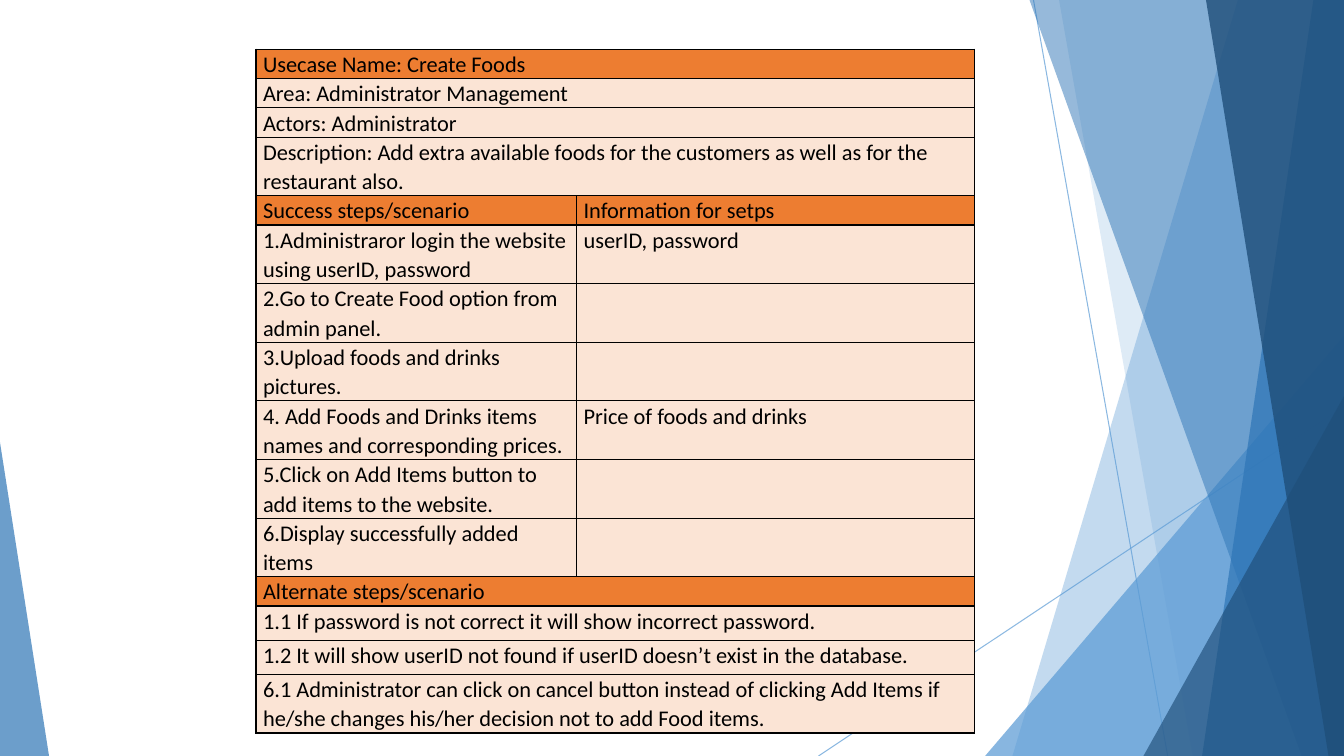
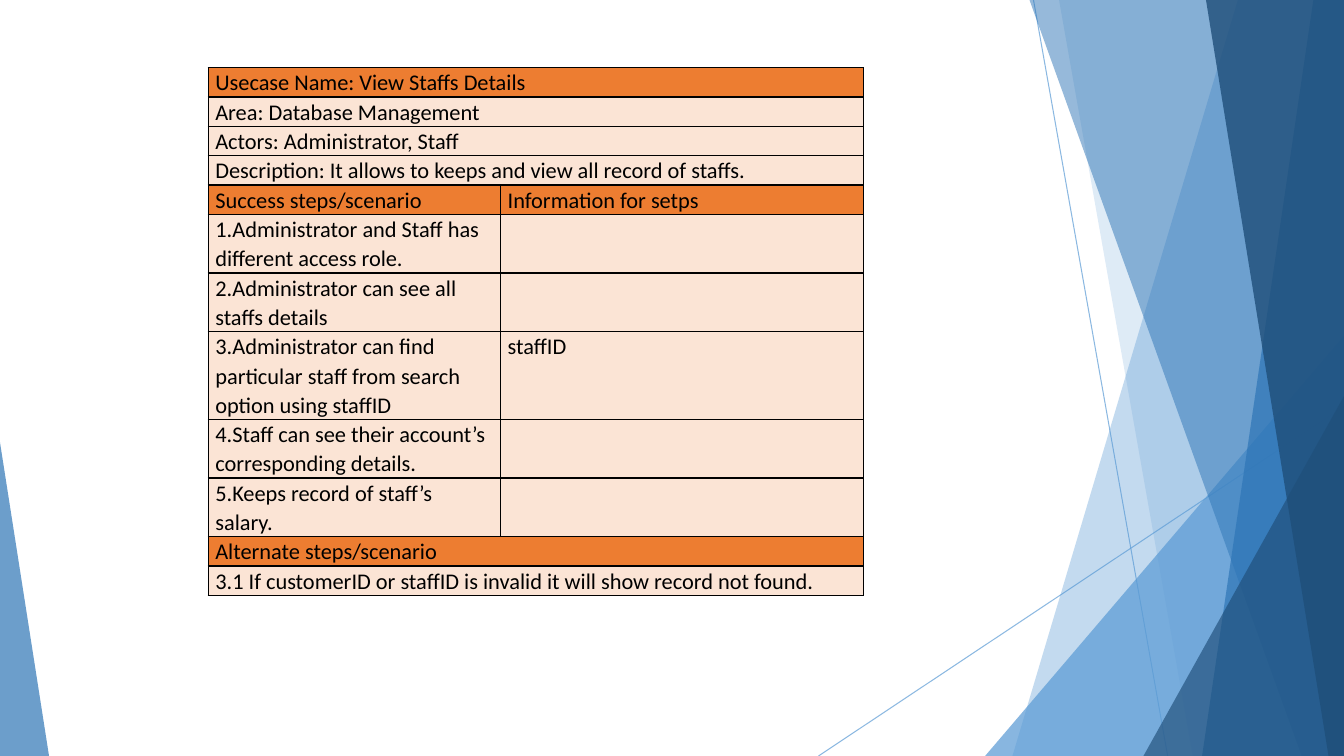
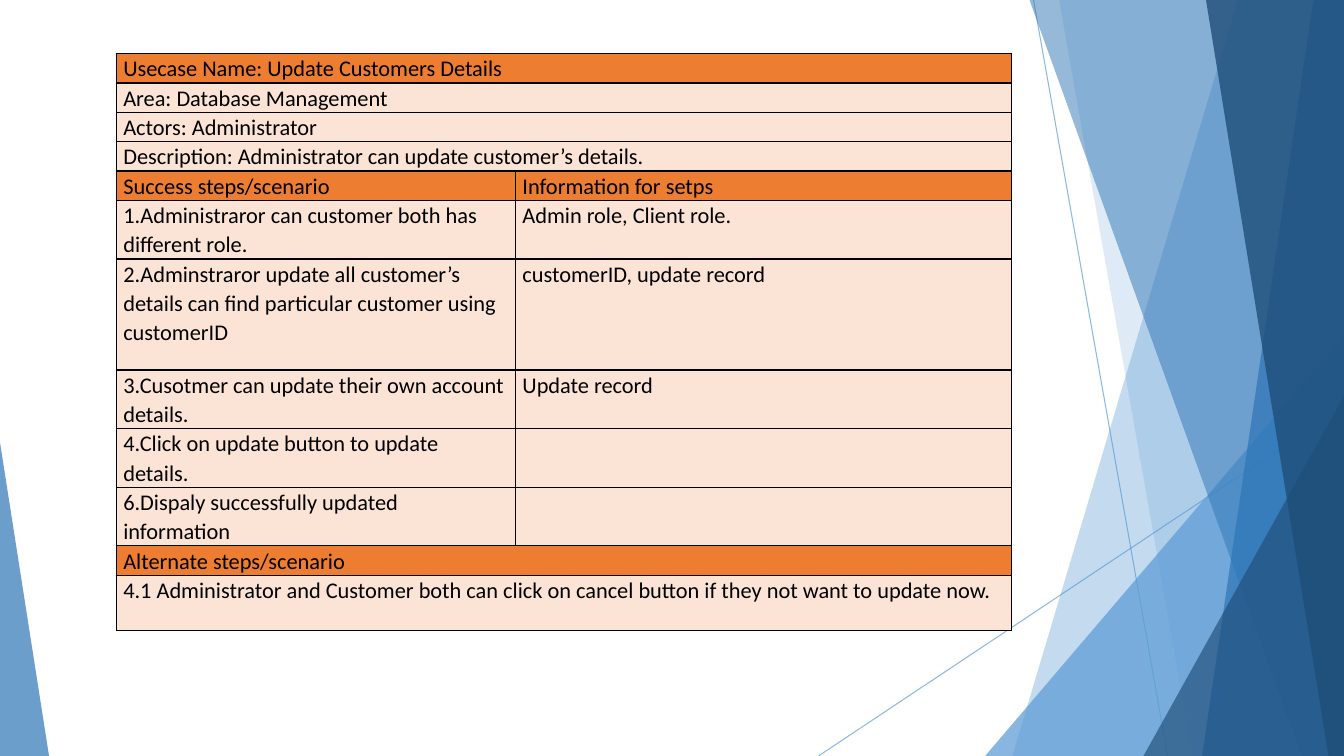
import pptx
import pptx.util
import pptx.dml.color
import pptx.enum.shapes
import pptx.oxml
import pptx.oxml.ns

WIDE, HIGH = 13.33, 7.5
LINE = 0.29  # height of one text line, inches
FONT = "Calibri"
HUES = {
    "sky": "5B9BD5", "blue": "2E75B6", "navy": "1F4E79",
    "head": "ED7D31", "body": "FBE4D5", "ink": "000000",
}
STEPS = ("Success steps/scenario", "Information for setps")
OTHER = "Alternate steps/scenario"

# Places are in percent of the slide. A step is (text, info, lines),
# a note is (text, lines).
CASES = [
    {
        "at": (19.05, 6.5), "cols": (23.85, 29.6),
        "facts": [
            ("Usecase Name: Create Foods", 1),
            ("Area: Administrator Management", 1),
            ("Actors: Administrator", 1),
            ("Description: Add extra available foods for the customers "
             "as well as for the restaurant also.", 2),
        ],
        "steps": [
            ("1.Administraror login the website using userID, password",
             "userID, password", 2),
            ("2.Go to Create Food option from admin panel.", "", 2),
            ("3.Upload foods and drinks pictures.", "", 2),
            ("4. Add Foods and Drinks items names and corresponding prices.",
             "Price of foods and drinks", 2),
            ("5.Click on Add Items button to add items to the website.", "", 2),
            ("6.Display successfully added items", "", 2),
        ],
        "notes": [
            ("1.1 If password is not correct it will show incorrect password.", 1.17),
            ("1.2 It will show userID not found if userID doesn’t exist "
             "in the database.", 1.17),
            ("6.1 Administrator can click on cancel button instead of clicking "
             "Add Items if he/she changes his/her decision not to add Food items.", 2),
        ],
    },
    {
        "at": (15.5, 8.95), "cols": (21.75, 27),
        "facts": [
            ("Usecase Name: View Staffs Details", 1),
            ("Area: Database Management", 1),
            ("Actors: Administrator, Staff", 1),
            ("Description: It allows to keeps and view all record of staffs.", 1),
        ],
        "steps": [
            ("1.Administrator and Staff has different access role.", "", 2),
            ("2.Administrator can see all staffs details", "", 2),
            ("3.Administrator can find particular staff from search option "
             "using staffID", "staffID", 3),
            ("4.Staff can see their account’s corresponding details.", "", 2),
            ("5.Keeps record of staff’s salary.", "", 2),
        ],
        "notes": [
            ("3.1 If customerID or staffID is invalid it will show record "
             "not found.", 1),
        ],
    },
    {
        "at": (8.65, 7.1), "cols": (29.7, 36.9),
        "facts": [
            ("Usecase Name: Update Customers Details", 1),
            ("Area: Database Management", 1),
            ("Actors: Administrator", 1),
            ("Description: Administrator can update customer’s details.", 1),
        ],
        "steps": [
            ("1.Administraror can customer both has different role.",
             "Admin role, Client role.", 2),
            ("2.Adminstraror update all customer’s details can find particular "
             "customer using customerID", "customerID, update record", 3.8),
            ("3.Cusotmer can update their own account details.",
             "Update record", 2),
            ("4.Click on update button to update details.", "", 2),
            ("6.Dispaly successfully updated information", "", 2),
        ],
        "notes": [
            ("4.1 Administrator and Customer both can click on cancel button "
             "if they not want to update now.", 1.9),
        ],
    },
]


def across(share):
    return pptx.util.Inches(WIDE * share / 100)


def down(share):
    return pptx.util.Inches(HIGH * share / 100)


def color(name):
    return pptx.dml.color.RGBColor.from_string(HUES[name])


def fade(shape, alpha):
    """Set the opacity, in percent, of the shape's colours."""
    for tint in shape.element.iter(pptx.oxml.ns.qn("a:srgbClr")):
        node = tint.makeelement(pptx.oxml.ns.qn("a:alpha"), {"val": str(alpha * 1000)})
        tint.append(node)


def paint(shape, hue, alpha):
    shape.shadow.inherit = False
    shape.fill.solid()
    shape.fill.fore_color.rgb = color(hue)
    shape.line.fill.background()
    fade(shape, alpha)
    return shape


def ray(shapes, x1, y1, x2, y2):
    line = shapes.add_connector(
        pptx.enum.shapes.MSO_CONNECTOR.STRAIGHT,
        across(x1), down(y1), across(x2), down(y2))
    line.line.color.rgb = color("sky")
    line.line.width = pptx.util.Pt(0.75)
    props = line.element.spPr
    props.append(props.makeelement(pptx.oxml.ns.qn("a:effectLst"), {}))
    fade(line, 70)
    return line


def slant(shapes, top, foot, hue, alpha):
    """Full-height band from a slanted left edge to the slide's right edge."""
    path = shapes.build_freeform(across(top), 0)
    path.add_line_segments([(across(100), 0), (across(100), down(100)),
                            (across(foot), down(100))])
    return paint(path.convert_to_shape(), hue, alpha)


def peak(shapes, left, top, right, tip, hue, alpha):
    """Triangle standing on the slide's bottom edge."""
    shape = shapes.add_shape(
        pptx.enum.shapes.MSO_SHAPE.ISOSCELES_TRIANGLE,
        across(left), down(top), across(right - left), down(100 - top))
    shape.adjustments[0] = tip
    return paint(shape, hue, alpha)


def facets(slide, layout):
    """Draw the shared backdrop and move it to the layout."""
    shapes = slide.shapes
    tree = layout.shapes.element
    for holder in list(layout.placeholders):
        tree.remove(holder.element)
    parts = [
        ray(shapes, 76.9, 0, 86.88, 100),
        ray(shapes, 100, 53.75, 60.9, 100),
        slant(shapes, 92.1, 75.33, "sky", 36),
        slant(shapes, 78.8, 88.75, "sky", 20),
        peak(shapes, 73.3, 44.4, 100, 1, "sky", 72),
        slant(shapes, 76.6, 96.85, "blue", 50),
        slant(shapes, 97.72, 89.44, "blue", 70),
        slant(shapes, 89.73, 98.85, "navy", 80),
        peak(shapes, 85.08, 52.4, 100, 1, "navy", 66),
        peak(shapes, 0, 58.5, 3.65, 0, "blue", 70),
    ]
    for part in parts:
        tree.append(part.element)


def write(cell, text, hue):
    cell.margin_left = cell.margin_right = pptx.util.Inches(0.07)
    cell.margin_top = cell.margin_bottom = 0
    cell.fill.solid()
    cell.fill.fore_color.rgb = color(hue)
    if text:
        para = cell.text_frame.paragraphs[0]
        para.line_spacing = 1.07
        run = para.add_run()
        run.text = text
        run.font.name = FONT
        run.font.size = pptx.util.Pt(16)
        run.font.color.rgb = color("ink")


def frame(grid):
    """Give every cell of the table a one-point border."""
    for props in grid.element.iter(pptx.oxml.ns.qn("a:tcPr")):
        for spot, side in enumerate("LRTB"):
            props.insert(spot, pptx.oxml.parse_xml(
                f'<a:ln{side} {pptx.oxml.ns.nsdecls("a")} w="12700"><a:solidFill>'
                f'<a:srgbClr val="{HUES["ink"]}"/></a:solidFill></a:ln{side}>'))


def sheet(slide, case):
    """Place one use-case table."""
    facts = [((text,), size, "body") for text, size in case["facts"]]
    facts[0] = (*facts[0][:2], "head")
    steps = [((text, info), size, "body") for text, info, size in case["steps"]]
    notes = [((text,), size, "body") for text, size in case["notes"]]
    rows = [*facts, (STEPS, 1, "head"), *steps, ((OTHER,), 1, "head"), *notes]

    left, top = case["at"]
    total = sum(size for _, size, _ in rows)
    grid = slide.shapes.add_table(
        len(rows), 2, across(left), down(top),
        across(sum(case["cols"])), pptx.util.Inches(total * LINE))
    table = grid.table
    table.first_row = table.horz_banding = False
    for col, share in zip(table.columns, case["cols"]):
        col.width = across(share)
    for num, (texts, size, hue) in enumerate(rows):
        table.rows[num].height = pptx.util.Inches(size * LINE)
        first, last = table.cell(num, 0), table.cell(num, 1)
        write(first, texts[0], hue)
        write(last, texts[1] if len(texts) > 1 else "", hue)
        if len(texts) == 1:
            first.merge(last)
    frame(grid)


def main():
    deck = pptx.Presentation()
    deck.slide_width, deck.slide_height = across(100), down(100)
    layout = deck.slide_layouts[6]
    for num, case in enumerate(CASES):
        slide = deck.slides.add_slide(layout)
        if num == 0:
            facets(slide, layout)
            for holder in list(slide.placeholders):
                slide.shapes.element.remove(holder.element)
        sheet(slide, case)
    deck.save("out.pptx")


if __name__ == "__main__":
    main()
